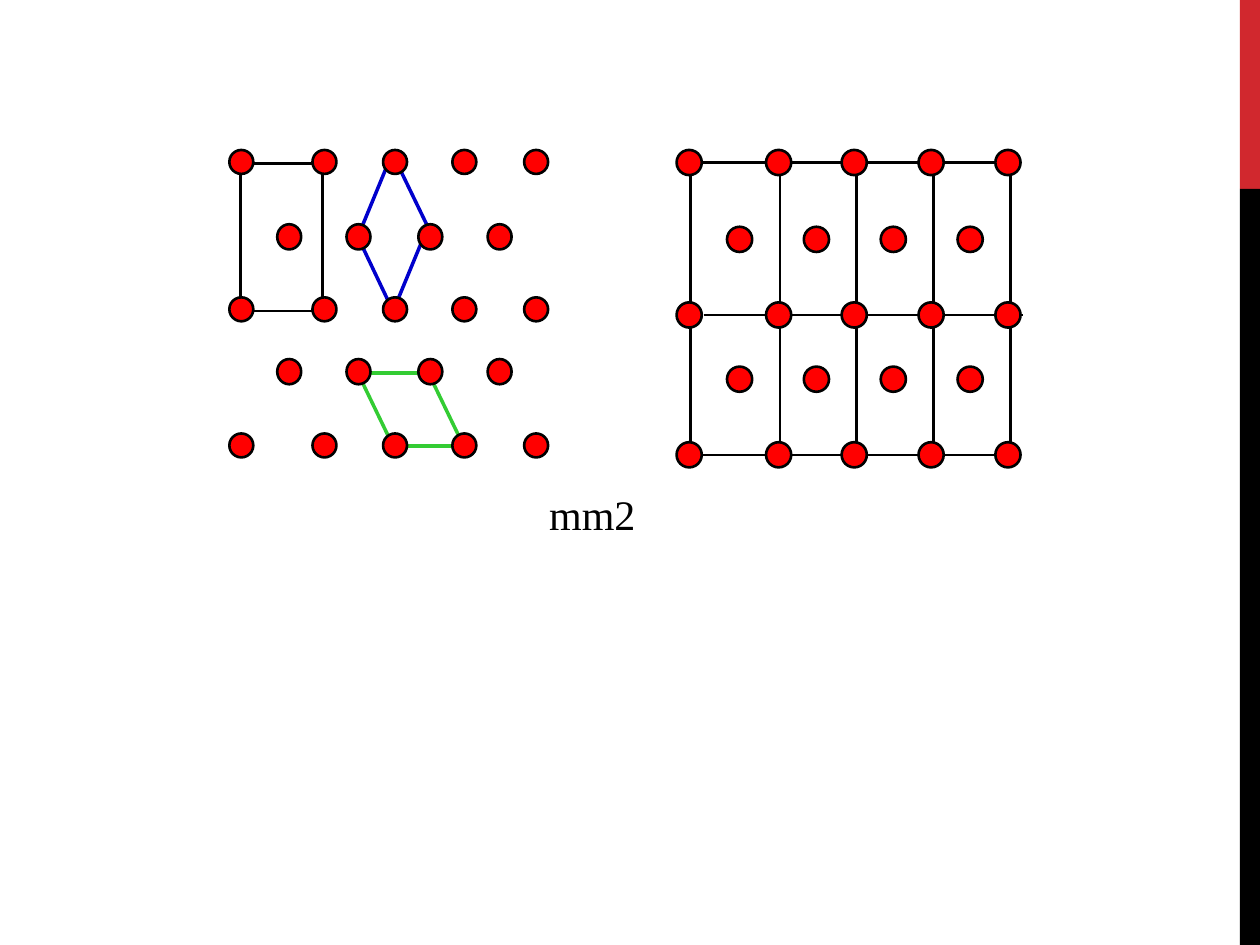
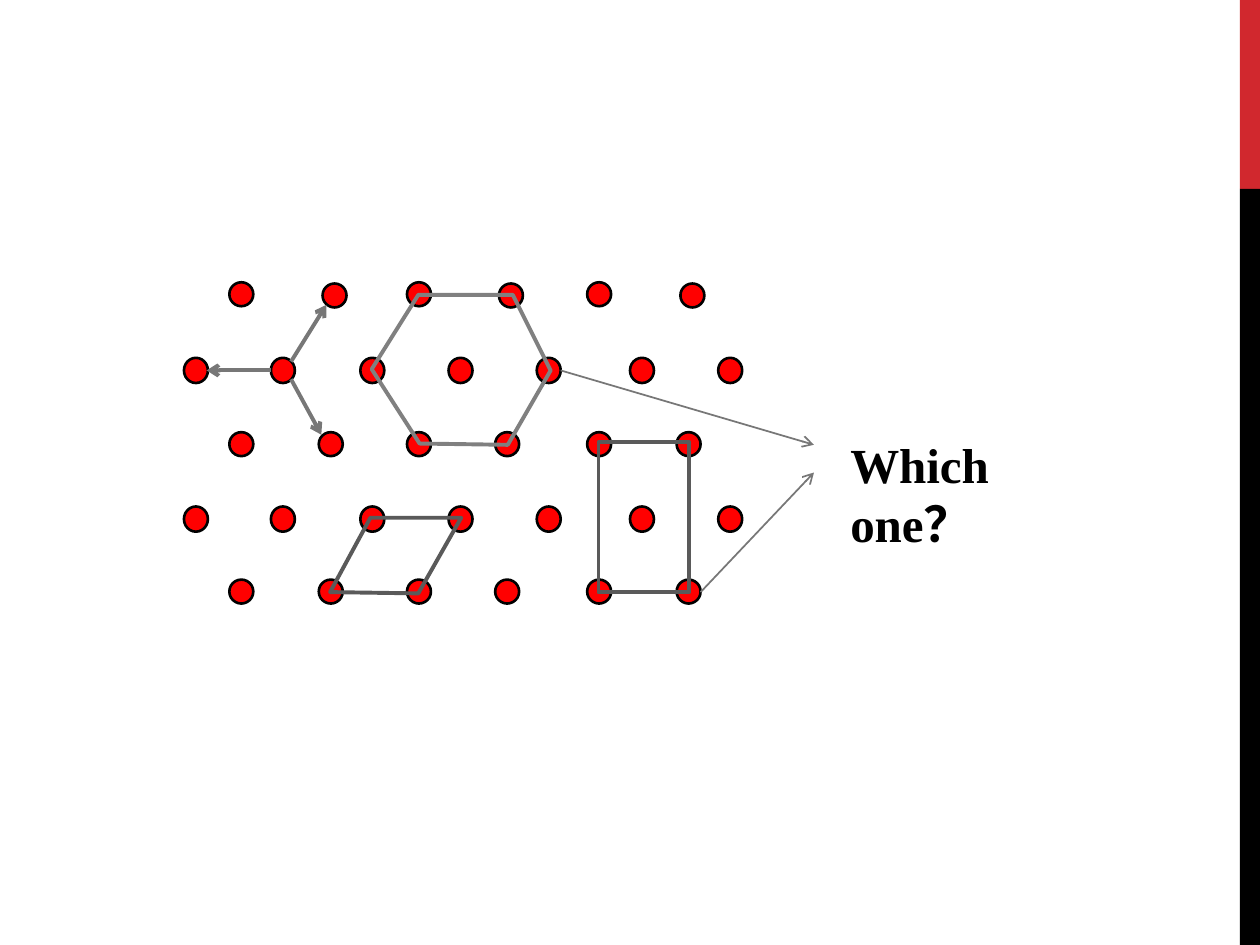
import itertools

import pptx
import pptx.dml.color
import pptx.enum.shapes
import pptx.oxml
import pptx.oxml.ns
import pptx.util

Inches = pptx.util.Inches
Pt = pptx.util.Pt
SHAPES = pptx.enum.shapes.MSO_SHAPE

COLOURS = {
    "paper": "FFFFFF",
    "band": "D1282E",
    "ink": "000000",
    "dot": "FF0000",
    "rhombus": "0000CC",
    "parallelogram": "33CC33",
    "arrow": "777777",
    "hexagon": "808080",
    "cell": "5A5A5A",
}
FONT = "Times New Roman"


def colour(name):
    return pptx.dml.color.RGBColor.from_string(COLOURS[name])


def set_fill(target, name):
    target.fill.solid()
    target.fill.fore_color.rgb = colour(name)


def set_line(target, name, width):
    target.line.color.rgb = colour(name)
    target.line.width = Pt(width)


def add_band(page, top, height, name):
    band = page.shapes.add_shape(
        SHAPES.RECTANGLE, Inches(9.84), Inches(top), Inches(0.16), Inches(height))
    band.shadow.inherit = False
    set_fill(band, name)
    band.line.fill.background()


def add_page(deck):
    """Blank page with the shared two-colour band on its right edge."""
    page = deck.slides.add_slide(deck.slide_layouts[6])
    set_fill(page.background, "paper")
    add_band(page, 0, 1.5, "band")
    add_band(page, 1.5, 6, "ink")
    return page


def add_dots(page, lefts, tops, width=0.19, height=0.19):
    """One dot at every crossing of the given columns and rows."""
    for top, left in itertools.product(tops, lefts):
        dot = page.shapes.add_shape(
            SHAPES.OVAL, Inches(left), Inches(top), Inches(width), Inches(height))
        dot.shadow.inherit = False
        set_fill(dot, "dot")
        set_line(dot, "ink", 1.5)


def add_line(page, start, end, name="ink", width=1.5, arrow=False):
    line = page.shapes.add_connector(
        pptx.enum.shapes.MSO_CONNECTOR.STRAIGHT, *map(Inches, start + end))
    set_line(line, name, width)
    properties = line._element.spPr
    if arrow:
        head = pptx.oxml.parse_xml(
            f'<a:tailEnd {pptx.oxml.ns.nsdecls("a")} type="arrow"/>')
        line.line._get_or_add_ln().append(head)
    properties.append(pptx.oxml.parse_xml(
        f'<a:effectLst {pptx.oxml.ns.nsdecls("a")}/>'))


def add_grid(page, columns, rows):
    """Horizontal lines as (left, right, y), then verticals across all rows."""
    for left, right, y in rows:
        add_line(page, (left, y), (right, y))
    for x in columns:
        add_line(page, (x, rows[0][2]), (x, rows[-1][2]))


def add_outline(page, points, name):
    corners = [(Inches(x), Inches(y)) for x, y in points]
    builder = page.shapes.build_freeform(*corners[0])
    builder.add_line_segments(corners[1:], close=True)
    outline = builder.convert_to_shape()
    outline.shadow.inherit = False
    outline.fill.background()
    set_line(outline, name, 2.25)


def add_text(page, text, left, top, width, height, size,
             bold=False, spacing=1.0, right_margin=0.1):
    box = page.shapes.add_textbox(*map(Inches, (left, top, width, height)))
    frame = box.text_frame
    frame.word_wrap = True
    frame.margin_right = Inches(right_margin)
    para = frame.paragraphs[0]
    para.line_spacing = spacing
    span = para.add_run()
    span.text = text
    for key, value in {"name": FONT, "size": Pt(size), "bold": bold}.items():
        setattr(span.font, key, value)
    span.font.color.rgb = colour("ink")


def build_rectangular_lattices(deck):
    page = add_page(deck)

    # Left lattice: three choices of unit cell, under the dots
    add_grid(page, (1.91, 2.56), ((1.91, 2.56, 1.3), (1.91, 2.56, 2.47)))
    sides = {
        "rhombus": (((3.12, 1.2), (2.84, 1.88)), ((3.4, 1.79), (3.12, 2.47)),
                    ((2.84, 1.88), (3.12, 2.47)), ((3.12, 1.23), (3.4, 1.81))),
        "parallelogram": (((2.84, 2.96), (3.4, 2.96)), ((3.12, 3.54), (3.68, 3.54)),
                          ((2.84, 2.96), (3.12, 3.54)), ((3.4, 2.96), (3.68, 3.54))),
    }
    for name, lines in sides.items():
        for start, end in lines:
            add_line(page, start, end, name, 2)
    add_dots(page, (1.82, 2.48, 3.04, 3.59, 4.16), (1.19, 2.36, 3.44))
    add_dots(page, (2.2, 2.75, 3.32, 3.87), (1.78, 2.85), height=0.2)

    # Right lattice: grid of centred cells
    add_grid(page, (5.48, 6.19, 6.8, 7.41, 8.02),
             ((5.48, 8.02, 1.29), (5.59, 8.12, 2.5), (5.48, 8.02, 3.61)))
    add_dots(page, (5.37, 6.08, 6.68, 7.29, 7.9), (1.19, 2.4, 3.51), 0.2, 0.2)
    centres = [5.77 + 0.61 * column for column in range(4)]
    add_dots(page, centres, (1.8, 2.91), 0.2, 0.2)

    add_text(page, "mm2", 4.26, 3.87, 1.18, 0.46, 24, spacing=0.9)


def build_hexagonal_lattice(deck):
    page = add_page(deck)

    # Lattice points
    add_dots(page, (1.82, 3.23, 4.66), (2.24,))
    add_dots(page, (2.56, 3.96, 5.4), (2.25,))
    add_dots(page, (1.82, 2.53, 3.23, 3.93, 4.66, 5.37), (3.43, 4.6))
    add_dots(page, (1.46, 2.15, 2.86, 3.56, 4.26, 5, 5.7), (2.84, 4.02), height=0.2)

    # Three symmetry directions
    for start, end in (((2.15, 2.94), (1.64, 2.94)),
                       ((2.31, 2.87), (2.59, 2.42)),
                       ((2.31, 3.01), (2.55, 3.45))):
        add_line(page, start, end, "arrow", 2.25, arrow=True)

    # Candidate unit cells
    add_outline(page, ((3.32, 2.34), (4.07, 2.34), (4.37, 2.94),
                       (4.03, 3.53), (3.33, 3.52), (2.95, 2.93)), "hexagon")
    add_outline(page, ((4.75, 3.51), (5.47, 3.51), (5.47, 4.7), (4.75, 4.7)), "cell")
    add_outline(page, ((2.94, 4.11), (3.66, 4.11), (3.32, 4.71), (2.62, 4.7)), "cell")

    # Question and its pointers
    add_line(page, (4.45, 2.94), (6.46, 3.53), "arrow", 1, arrow=True)
    add_line(page, (5.56, 4.7), (6.46, 3.75), "arrow", 1, arrow=True)
    add_text(page, "Which one？", 6.65, 3.4, 2.4, 1.05, 28, bold=True, right_margin=1)


def main():
    deck = pptx.Presentation()
    deck.slide_width, deck.slide_height = Inches(10), Inches(7.5)
    build_rectangular_lattices(deck)
    build_hexagonal_lattice(deck)
    deck.save("out.pptx")


if __name__ == "__main__":
    main()
